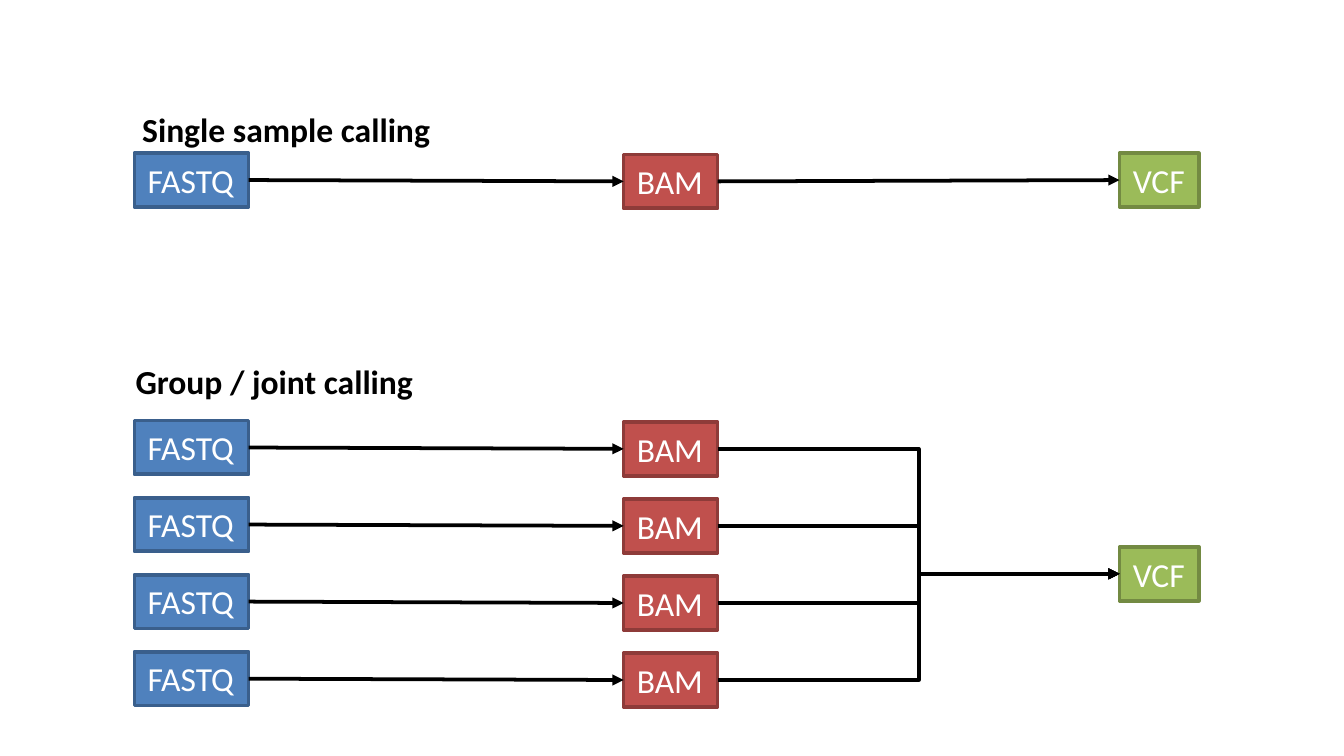
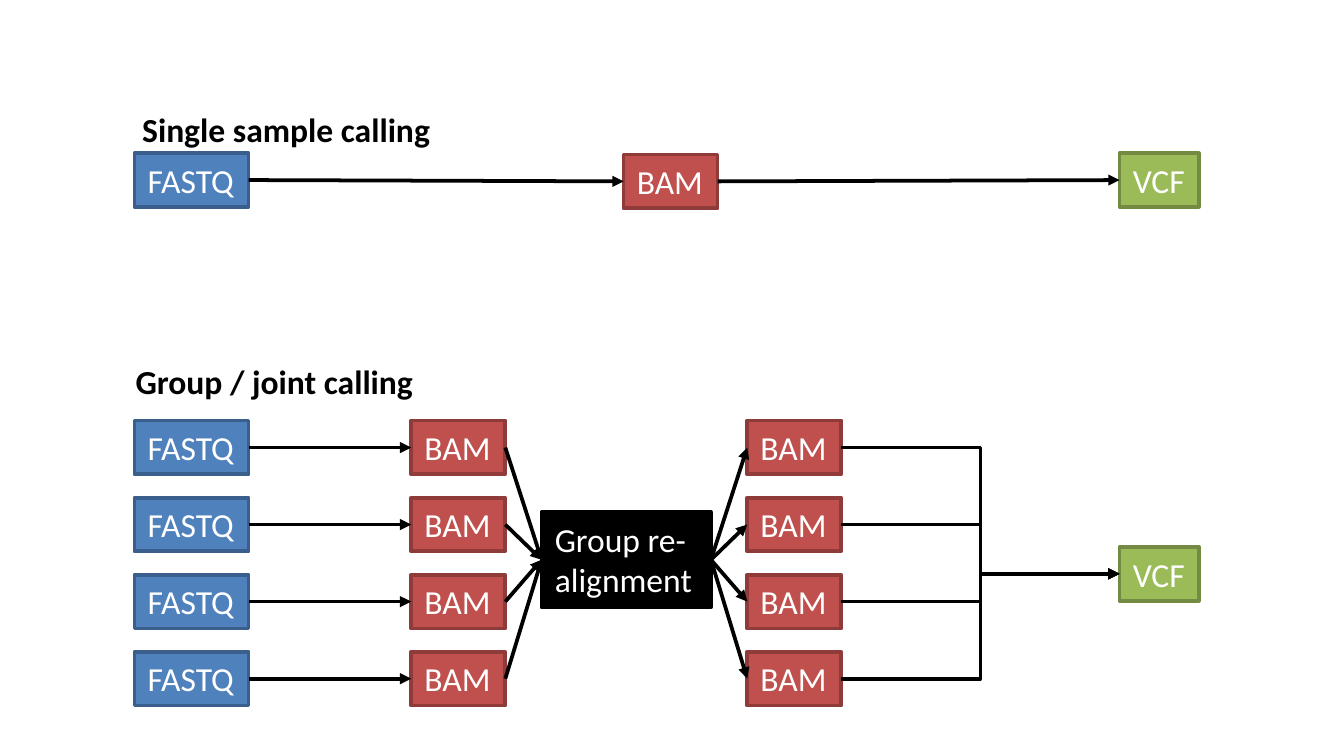
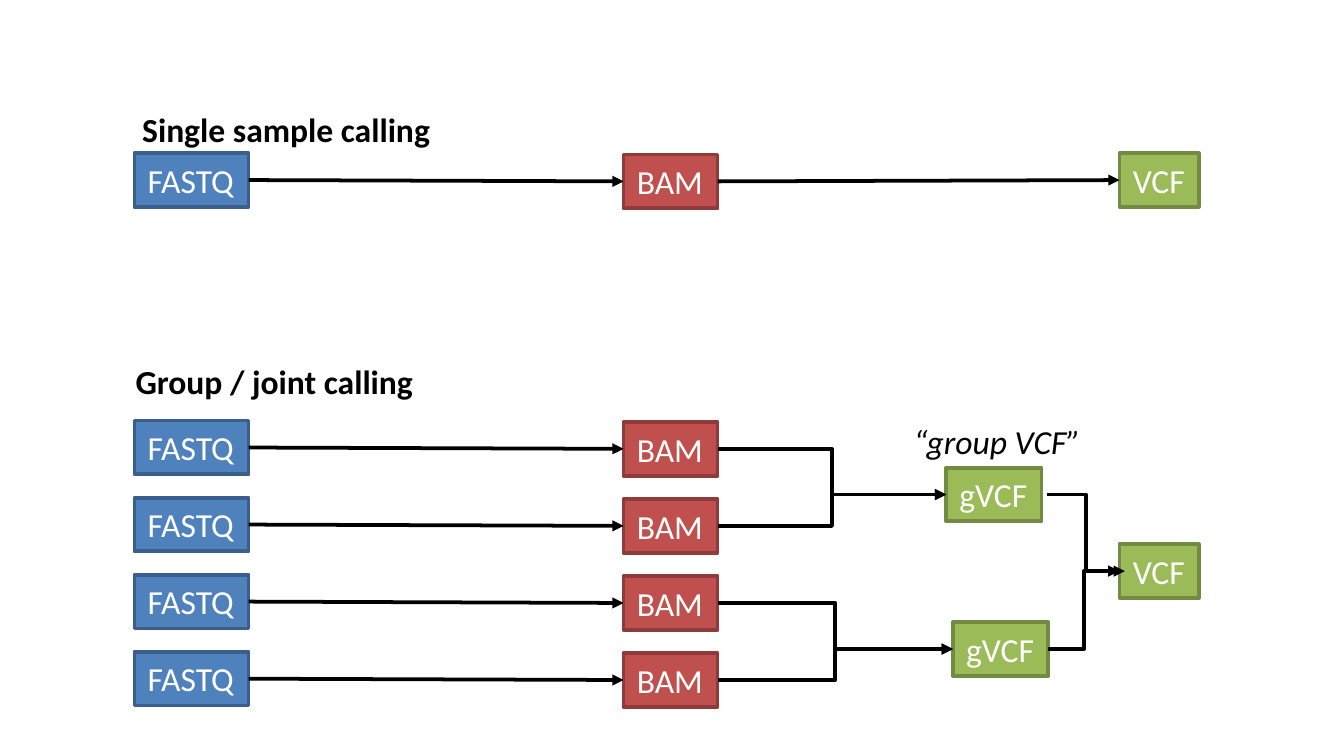
"""Build three slides that compare single sample calling with joint calling."""
from dataclasses import dataclass

from lxml import etree
from pptx import Presentation
from pptx import util as u
from pptx.dml.color import RGBColor
from pptx.enum import shapes, text
from pptx.oxml.ns import qn


@dataclass(frozen=True)
class Theme:
    font: str = "Calibri"
    size: int = 18
    stroke: int = 2
    black: str = "000000"
    white: str = "FFFFFF"
    blue: str = "4F81BD"
    navy: str = "3A5F8C"
    red: str = "C0504D"
    wine: str = "8E3B39"
    green: str = "9BBB59"
    moss: str = "738A42"


THEME = Theme()


@dataclass(frozen=True)
class Kind:
    label: str
    width: float
    fill: str
    edge: str
    height: float = 0.4
    wrap: bool = False


FASTQ = Kind("FASTQ", 0.85, THEME.blue, THEME.navy)
BAM = Kind("BAM", 0.7, THEME.red, THEME.wine)
VCF = Kind("VCF", 0.59, THEME.green, THEME.moss)
GVCF = Kind("gVCF", 0.71, THEME.green, THEME.moss)
ALIGN = Kind("Group re-alignment", 1.26, THEME.black, THEME.black, 0.71, True)


@dataclass(frozen=True)
class Node:
    kind: Kind
    left: float
    top: float

    @property
    def right(self) -> float:
        return self.left + self.kind.width

    @property
    def mid(self) -> float:
        return self.top + self.kind.height / 2


WIDE = 10
FIRST, LAST, COUNT = 3.13, 4.85, 4
ROWS = [FIRST + i * (LAST - FIRST) / (COUNT - 1) for i in range(COUNT)]
START, CENTER, END = 1, 4.64, 8.33
DROP = 0.01


def rgb(code: str) -> RGBColor:
    return RGBColor.from_string(code)


def write(frame, words: str, *, color: str = THEME.black, bold: bool = False,
          italic: bool = False, wrap: bool = False) -> None:
    frame.word_wrap = wrap
    frame.auto_size = text.MSO_AUTO_SIZE.SHAPE_TO_FIT_TEXT
    frame.vertical_anchor = text.MSO_ANCHOR.TOP
    para = frame.paragraphs[0]
    para.alignment = text.PP_ALIGN.LEFT
    run = para.add_run()
    run.text = words
    font = run.font
    font.name, font.size = THEME.font, u.Pt(THEME.size)
    font.bold, font.italic = bold, italic
    font.color.rgb = rgb(color)


def label(slide, words: str, left: float, top: float, width: float,
          **style) -> None:
    box = slide.shapes.add_textbox(
        u.Inches(left), u.Inches(top), u.Inches(width), u.Inches(0.4))
    write(box.text_frame, words, **style)


def place(slide, kind: Kind, left: float, top: float) -> Node:
    box = slide.shapes.add_shape(
        shapes.MSO_SHAPE.RECTANGLE, u.Inches(left), u.Inches(top),
        u.Inches(kind.width), u.Inches(kind.height))
    box.shadow.inherit = False
    box.fill.solid()
    box.fill.fore_color.rgb = rgb(kind.fill)
    box.line.color.rgb = rgb(kind.edge)
    box.line.width = u.Pt(THEME.stroke)
    write(box.text_frame, kind.label, color=THEME.white, wrap=kind.wrap)
    return Node(kind, left, top)


def stack(slide, kind: Kind, left: float, drop: float = 0) -> list[Node]:
    return [place(slide, kind, left, top + drop) for top in ROWS]


def link(slide, tail: Node, head: Node, *, bent: bool = False,
         shift: float = 0) -> None:
    form = shapes.MSO_CONNECTOR.ELBOW if bent else shapes.MSO_CONNECTOR.STRAIGHT
    line = slide.shapes.add_connector(
        form, u.Inches(tail.right + shift), u.Inches(tail.mid),
        u.Inches(head.left + shift), u.Inches(head.mid))
    line.line.color.rgb = rgb(THEME.black)
    line.line.width = u.Pt(THEME.stroke)
    props = line._element.spPr
    etree.SubElement(props.find(qn("a:ln")), qn("a:tailEnd"), type="triangle")
    etree.SubElement(props, qn("a:effectLst"))


def join(slide, tails: list[Node], head: Node) -> None:
    for tail in tails:
        link(slide, tail, head, bent=True)


def pair(slide, tails: list[Node], heads: list[Node]) -> None:
    for tail, head in zip(tails, heads):
        link(slide, tail, head)


def base(deck):
    slide = deck.slides.add_slide(deck.slide_layouts[6])
    label(slide, "Single sample calling", 0.96, 0.76, 2.36, bold=True)
    label(slide, "Group / joint calling", 0.91, 2.64, 2.28, bold=True)
    chain = [place(slide, FASTQ, START, 1.14),
             place(slide, BAM, CENTER, 1.14 + DROP),
             place(slide, VCF, END, 1.14)]
    pair(slide, chain, chain[1:])
    return slide, stack(slide, FASTQ, START)


def joint(deck) -> None:
    slide, reads = base(deck)
    bams = stack(slide, BAM, CENTER, DROP)
    pair(slide, reads, bams)
    join(slide, bams, place(slide, VCF, END, 4.07))


def realign(deck) -> None:
    slide, reads = base(deck)
    bams = stack(slide, BAM, 3.06)
    pair(slide, reads, bams)
    clean = stack(slide, BAM, 5.56)
    join(slide, clean, place(slide, VCF, END, 4.07))
    hub = place(slide, ALIGN, 4.03, 3.81)
    pair(slide, bams, [hub] * COUNT)
    pair(slide, [hub] * COUNT, clean)


def group(deck) -> None:
    slide, reads = base(deck)
    bams = stack(slide, BAM, CENTER, DROP)
    pair(slide, reads, bams)
    upper = place(slide, GVCF, 7.04, 3.48)
    lower = place(slide, GVCF, 7.09, 4.63)
    join(slide, bams[:2], upper)
    join(slide, bams[2:], lower)
    final = place(slide, VCF, END, 4.05)
    link(slide, upper, final, bent=True, shift=0.04)
    link(slide, lower, final, bent=True)
    label(slide, "“group VCF”", 6.7, 3.08, 1.45, italic=True)


def main() -> None:
    deck = Presentation()
    deck.slide_width = u.Inches(WIDE)
    deck.slide_height = u.Inches(WIDE * 9 / 16)
    for build in (joint, realign, group):
        build(deck)
    deck.save("out.pptx")


if __name__ == "__main__":
    main()
